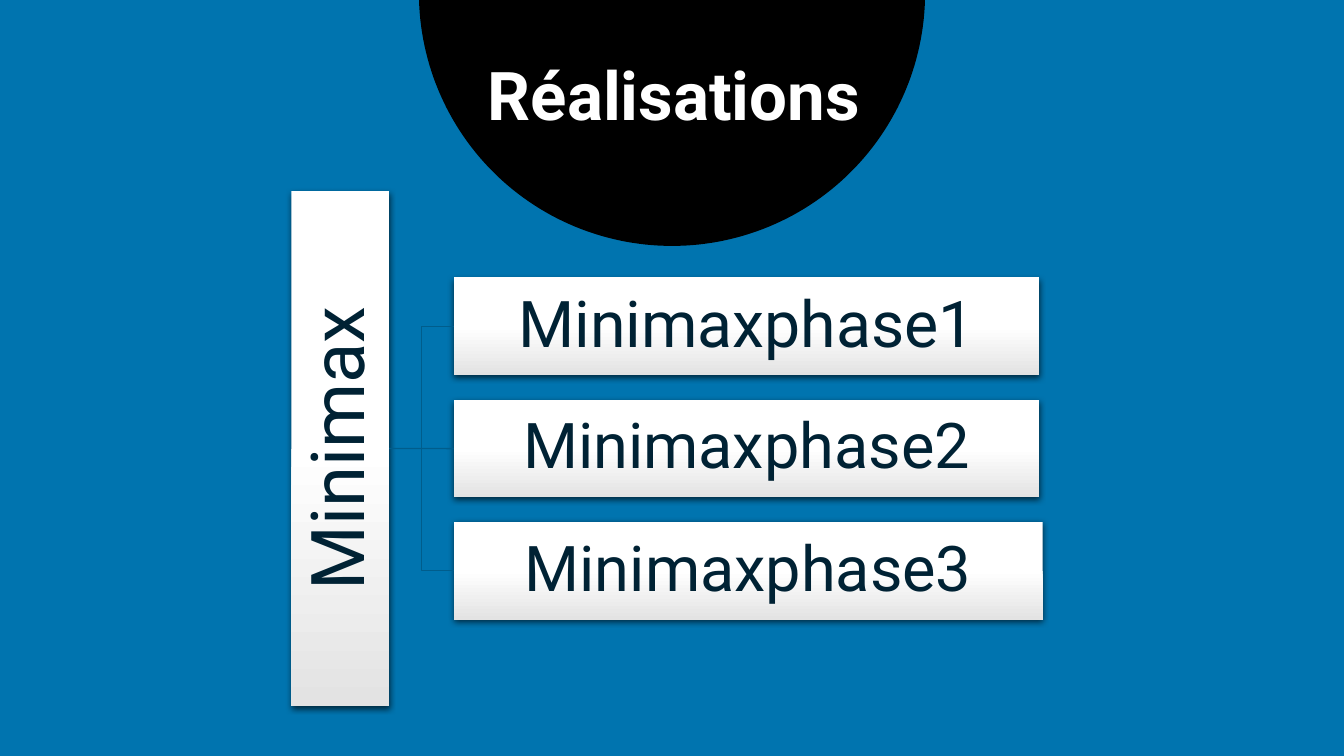
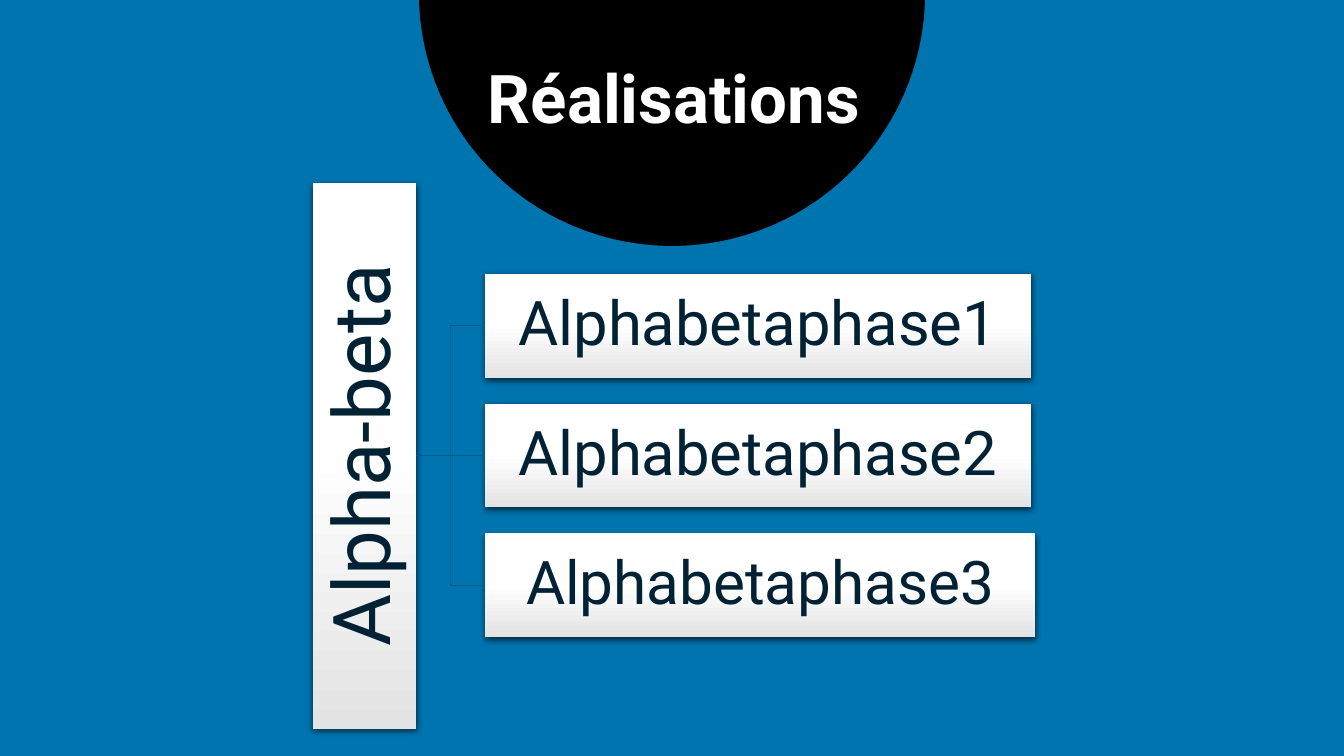
from copy import deepcopy
from math import cos, pi, sin

from lxml import etree
from pptx import Presentation
from pptx import util as u
from pptx.dml.color import RGBColor
from pptx.enum import shapes, text
from pptx.oxml.ns import qn

# Shared style
BLUE = RGBColor(0x00, 0x74, 0xAF)
LINE_BLUE = RGBColor(0x00, 0x5D, 0x8C)
NAVY = RGBColor(0x00, 0x22, 0x34)
BLACK = RGBColor(0x00, 0x00, 0x00)
WHITE = RGBColor(0xFF, 0xFF, 0xFF)
GREY = RGBColor(0xE3, 0xE3, 0xE3)
FONT = "Roboto"
SLIDE_W, SLIDE_H = 13.33, 7.5

# Tree proportions, as multiples of the height of one box
ROOT_LENGTH = 5.26
INDENT = 0.66
PITCH = 1.25

# Left edge, middle, box height, root (text, size), phases (text, size, width)
TREES = [
    dict(title_top=0.57, left=2.89, middle=4.45, h=0.97, root=("Minimax", 53),
         phases=[("Minimaxphase1", 46, 5.81),
                 ("Minimaxphase2", 45, 5.81),
                 ("Minimaxphase3", 45, 5.84)]),
    dict(title_top=0.6, left=3.1, middle=4.52, h=1.03, root=("Alpha-beta", 57),
         phases=[("Alphabetaphase1", 44, 5.42),
                 ("Alphabetaphase2", 44, 5.42),
                 ("Alphabetaphase3", 43, 5.46)]),
]


def write(tf, words, size, color, bold=False):
    tf.text = words
    tf.word_wrap = True
    p = tf.paragraphs[0]
    p.alignment = text.PP_ALIGN.CENTER
    p.line_spacing = 0.9
    font = p.runs[0].font
    font.name, font.size, font.bold = FONT, u.Pt(size), bold
    font.color.rgb = color
    return p


def add_half_disc(slide, layout):
    """Black half disc behind the title, kept on the layout."""
    cx, cy, radius, steps = SLIDE_W / 2, -0.07, 2.51, 120
    points = [(u.Inches(cx + radius * cos(pi * i / steps)),
               u.Inches(cy + radius * sin(pi * i / steps)))
              for i in range(steps + 1)]
    builder = slide.shapes.build_freeform(*points[0], scale=1.0)
    builder.add_line_segments(points[1:], close=True)
    sp = builder.convert_to_shape()
    sp.shadow.inherit = False
    sp.fill.solid()
    sp.fill.fore_color.rgb = BLACK
    sp.line.fill.background()
    layout.shapes.element.append(sp.element)


def add_title(slide, top):
    title = slide.shapes.title
    title.left, title.top = u.Inches(4.29), u.Inches(top)
    title.width, title.height = u.Inches(4.79), u.Inches(0.8)
    tf = title.text_frame
    p = write(tf, "Réalisations", 48, WHITE, bold=True)
    p.space_before = u.Pt(10)
    tf.auto_size = text.MSO_AUTO_SIZE.NONE
    tf.vertical_anchor = text.MSO_ANCHOR.TOP


def add_box(slide, box, words, size):
    """White to grey rectangle with a soft shadow below."""
    sp = slide.shapes.add_shape(shapes.MSO_SHAPE.RECTANGLE, *map(u.Inches, box))
    sp.line.fill.background()

    # Gradient: white down to the middle, then grey
    sp.fill.gradient()
    sp.fill.gradient_angle = 270
    first, last = sp.fill.gradient_stops
    first.color.rgb, first.position = WHITE, 0.5
    last.color.rgb, last.position = GREY, 1
    middle_stop = sp.element.spPr.find(".//" + qn("a:gs"))
    top_stop = deepcopy(middle_stop)
    top_stop.set("pos", "0")
    middle_stop.addprevious(top_stop)

    # Shadow
    sp.shadow.inherit = False
    effects = sp.element.spPr.find(qn("a:effectLst"))
    shadow = etree.SubElement(effects, qn("a:outerShdw"), blurRad=str(u.Pt(4.5)),
                              dist=str(u.Pt(1.5)), dir="5400000", rotWithShape="0")
    color = etree.SubElement(shadow, qn("a:srgbClr"), val=str(BLACK))
    etree.SubElement(color, qn("a:alpha"), val="63000")

    tf = sp.text_frame
    write(tf, words, size, NAVY)
    tf.vertical_anchor = text.MSO_ANCHOR.MIDDLE
    tf.margin_left = tf.margin_right = tf.margin_top = tf.margin_bottom = u.Inches(0.03)
    return sp


def join(slide, root, phase, kind):
    line = slide.shapes.add_connector(kind, 0, 0, 0, 0)
    line.begin_connect(root, 3)
    line.end_connect(phase, 1)
    line.line.color.rgb = LINE_BLUE
    line.line.width = u.Pt(1)
    etree.SubElement(line.element.spPr, qn("a:effectLst"))


def add_tree(slide, left, middle, h, root, phases):
    # Upright root box
    length = ROOT_LENGTH * h
    root_sp = add_box(slide, (left, middle - length / 2, h, length), *root)
    root_sp.element.txBody.find(qn("a:bodyPr")).set("vert", "vert270")

    # Phases, centred on the root
    for i, (words, size, width) in enumerate(phases):
        row = i - (len(phases) - 1) / 2
        box = (left + h + INDENT * h, middle + row * PITCH * h - h / 2, width, h)
        phase = add_box(slide, box, words, size)
        kind = shapes.MSO_CONNECTOR.ELBOW if row else shapes.MSO_CONNECTOR.STRAIGHT
        join(slide, root_sp, phase, kind)


def main():
    prs = Presentation()
    prs.slide_width, prs.slide_height = u.Inches(SLIDE_W), u.Inches(SLIDE_H)
    background = prs.slide_master.background.fill
    background.solid()
    background.fore_color.rgb = BLUE
    layout = prs.slide_layouts.get_by_name("Title Only")

    for i, tree in enumerate(TREES):
        slide = prs.slides.add_slide(layout)
        if i == 0:
            add_half_disc(slide, layout)
        add_title(slide, tree["title_top"])
        add_tree(slide, tree["left"], tree["middle"], tree["h"],
                 tree["root"], tree["phases"])

    prs.save("out.pptx")


if __name__ == "__main__":
    main()
